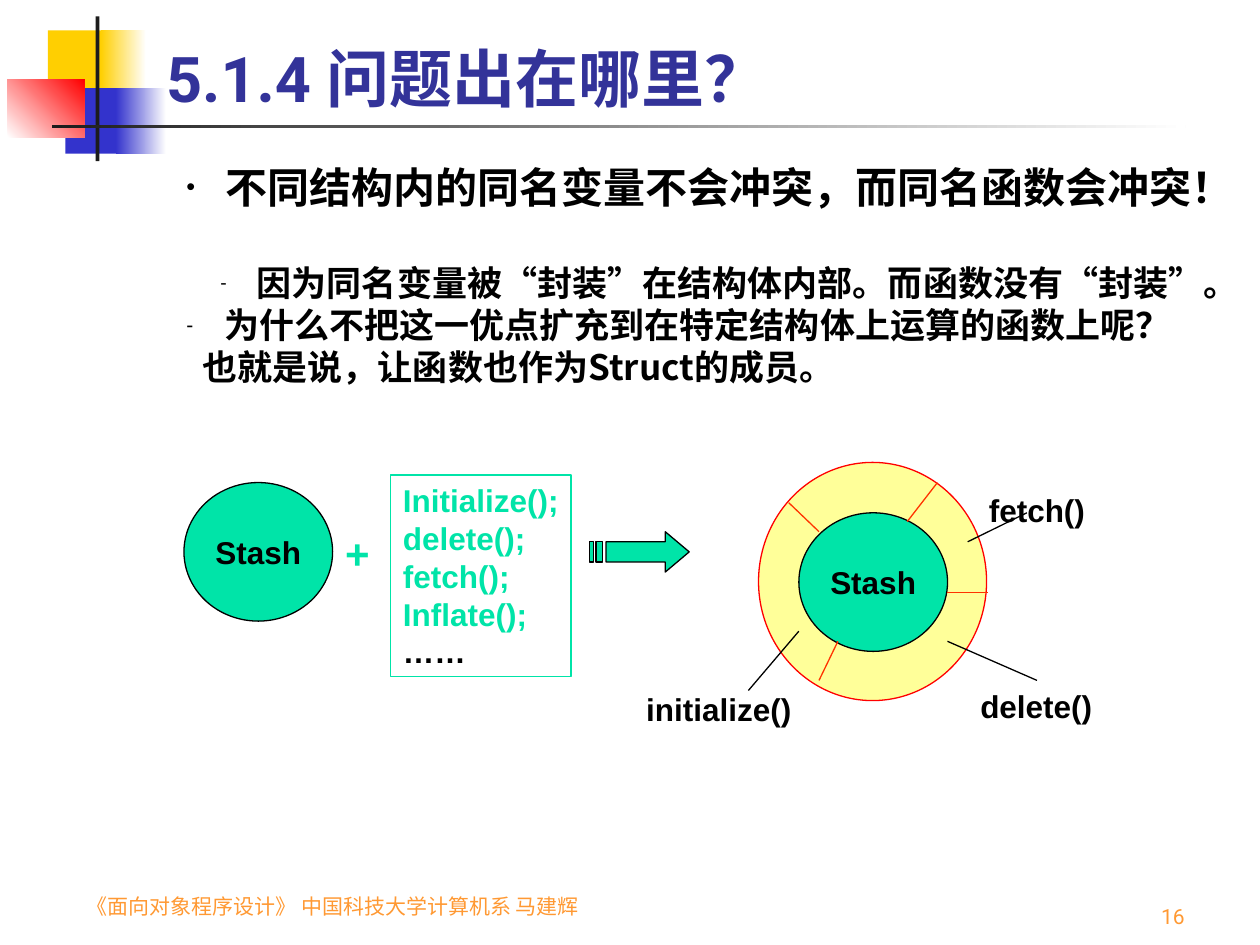
from itertools import groupby

from lxml import etree
from pptx import Presentation
from pptx.dml.color import RGBColor
from pptx.enum.shapes import MSO_CONNECTOR, MSO_SHAPE
from pptx.enum.text import MSO_ANCHOR, PP_ALIGN
from pptx.oxml.ns import qn
from pptx.util import Inches, Pt

RECT, OVAL, DONUT = MSO_SHAPE.RECTANGLE, MSO_SHAPE.OVAL, MSO_SHAPE.DONUT
STRAIGHT = MSO_CONNECTOR.STRAIGHT
TOP, MIDDLE, BOTTOM = MSO_ANCHOR.TOP, MSO_ANCHOR.MIDDLE, MSO_ANCHOR.BOTTOM
LEFT, CENTER, RIGHT = PP_ALIGN.LEFT, PP_ALIGN.CENTER, PP_ALIGN.RIGHT
CJK_FONT = "Noto Sans CJK SC"
BLACK, WHITE, GREEN, RED = "000000", "FFFFFF", "00E4A8", "FF0000"
YELLOW, BLUE, DARK, ORANGE = "FFCF01", "3333CC", "1C1C1C", "FF9933"


def rgb(value):
    """Return the colour for a hex string."""
    return RGBColor.from_string(value)


def paint(sp, fill=None, line=None, width=0.75):
    """Set the fill and outline of a shape and remove its shadow."""
    sp.shadow.inherit = False
    if fill:
        sp.fill.solid()
        sp.fill.fore_color.rgb = rgb(fill)
    else:
        sp.fill.background()
    if line:
        sp.line.color.rgb = rgb(line)
        sp.line.width = Pt(width)
    else:
        sp.line.fill.background()


def add_shape(s, kind, box, **style):
    """Add a preset shape."""
    sp = s.shapes.add_shape(kind, *map(Inches, box))
    paint(sp, **style)
    return sp


def add_gradient(s, box, start, end, angle=0):
    """Add a rectangle with a two-colour gradient."""
    sp = add_shape(s, RECT, box)
    sp.fill.gradient()
    sp.fill.gradient_angle = angle
    for stop, color in zip(sp.fill.gradient_stops, (start, end)):
        stop.color.rgb = rgb(color)


def add_line(s, start, end, color):
    """Add a thin straight line."""
    c = s.shapes.add_connector(STRAIGHT, *map(Inches, start + end))
    c.line.color.rgb = rgb(color)
    c.line.width = Pt(0.75)
    etree.SubElement(c._element.spPr, qn("a:effectLst"))


def add_run(p, text, size=18, font="Arial", color=BLACK, bold=True):
    """Append a formatted run to a paragraph."""
    r = p.add_run()
    r.text = text
    r.font.size, r.font.name, r.font.bold = Pt(size), font, bold
    r.font.color.rgb = rgb(color)
    etree.SubElement(r._r.get_or_add_rPr(), qn("a:ea"), typeface=CJK_FONT)


def set_text(sp, text, align=LEFT, anchor=TOP, wrap=False, **font):
    """Write one paragraph per line of text into a shape."""
    tf = sp.text_frame
    tf.word_wrap, tf.vertical_anchor = wrap, anchor
    for i, line in enumerate(text.split("\n")):
        p = tf.add_paragraph() if i else tf.paragraphs[0]
        p.alignment = align
        add_run(p, line, **font)
    return tf


def add_text(s, box, text, **style):
    """Add a text box."""
    return set_text(s.shapes.add_textbox(*map(Inches, box)), text, **style)


def set_indent(p, margin, first, bullet=None, percent=60):
    """Set the indents of a paragraph and its bullet."""
    pPr = p._p.get_or_add_pPr()
    pPr.set("marL", str(Inches(margin)))
    pPr.set("indent", str(Inches(first - margin)))
    if bullet:
        color = etree.SubElement(pPr, qn("a:buClr"))
        etree.SubElement(color, qn("a:srgbClr"), val=BLACK)
        etree.SubElement(pPr, qn("a:buSzPct"), val=str(percent * 1000))
        etree.SubElement(pPr, qn("a:buFont"), typeface="Arial")
        etree.SubElement(pPr, qn("a:buChar"), char=bullet)


def add_body(s):
    """Add the explanation with its bullets."""
    items = [
        ("不同结构内的同名变量不会冲突，而同名函数会冲突！", 24, 0, (0.31, 0, "•")),
        ("因为同名变量被“封装”在结构体内部。而函数没有“封装”。", 20, 28.8, (0.56, 0.27, "-", 55)),
        ("为什么不把这一优点扩充到在特定结构体上运算的函数上呢？", 20, 0, (0.3, 0, "-")),
        ("也就是说，让函数也作为Struct的成员。", 20, 0, (0.13, 0.13)),
    ]
    tf = s.shapes.add_textbox(*map(Inches, (1.38, 1.23, 8.62, 1.9))).text_frame
    tf.word_wrap = True
    for i, (text, size, before, indent) in enumerate(items):
        p = tf.add_paragraph() if i else tf.paragraphs[0]
        p.line_spacing, p.space_before = Pt(size * 1.2), Pt(before)
        set_indent(p, *indent)
        if i == 1:
            p.level = 1
        for quoted, part in groupby(text, key=lambda ch: ch in "“”"):
            add_run(p, "".join(part), size=size, font="Arial" if quoted else CJK_FONT)


def add_ornament(s):
    """Add the coloured blocks and rules beside the title."""
    add_shape(s, RECT, (0.38, 0.24, 0.48, 0.52), fill=YELLOW)
    add_gradient(s, (0.8, 0.24, 0.36, 0.52), YELLOW, WHITE)
    add_shape(s, RECT, (0.52, 0.7, 0.46, 0.52), fill=BLUE)
    add_gradient(s, (0.92, 0.7, 0.4, 0.52), BLUE, WHITE)
    add_gradient(s, (0.06, 0.63, 0.61, 0.46), WHITE, RED, angle=45)
    add_shape(s, RECT, (0.76, 0.13, 0.03, 1.15), fill=DARK)
    add_gradient(s, (0.41, 0.99, 9, 0.03), DARK, WHITE)


def add_stash(s, x, y):
    """Add a green Stash circle."""
    sp = add_shape(s, OVAL, (x, y, 1.18, 1.1), fill=GREEN, line=BLACK)
    set_text(sp, "Stash", align=CENTER, anchor=MIDDLE)


def add_striped_arrow(s):
    """Add the arrow with two stripes at its tail."""
    top, bottom = 4.3, 4.46
    head = [(5.28, 4.22), (5.28, top), (4.81, top), (4.81, bottom),
            (5.28, bottom), (5.28, 4.54), (5.47, 4.38)]
    stripes = [[(a, top), (a, bottom), (b, bottom), (b, top)]
               for a, b in ((4.73, 4.78), (4.68, 4.71))]
    fb = s.shapes.build_freeform(*map(Inches, head[0]))
    for i, outline in enumerate([head] + stripes):
        points = [(Inches(x), Inches(y)) for x, y in outline]
        if i:
            fb.move_to(*points[0])
        fb.add_line_segments(points[1:], close=True)
    paint(fb.convert_to_shape(), fill=GREEN, line=BLACK)


def add_diagram(s):
    """Add the data plus functions diagram and the resulting ring."""
    add_stash(s, 1.46, 3.83)
    box = add_shape(s, RECT, (3.1, 3.77, 1.43, 1.6), line=GREEN, width=1)
    tf = set_text(box, "Initialize();\ndelete();\nfetch();\nInflate();\n……", color=GREEN)
    tf.paragraphs[-1].runs[0].font.color.rgb = rgb(BLACK)
    add_striped_arrow(s)
    ring = add_shape(s, DONUT, (6.02, 3.67, 1.81, 1.89), fill="FFFF99", line=RED)
    ring.adjustments[0] = 0.25
    add_stash(s, 6.34, 4.07)
    for start, end in [((6.26, 3.99), (6.5, 4.22)), ((7.2, 4.14), (7.44, 3.83)),
                       ((7.52, 4.7), (7.84, 4.7)), ((6.65, 5.09), (6.5, 5.4))]:
        add_line(s, start, end, "FF3300")
    for text, box, start, end in [
        ("initialize()", (5.01, 5.43, 1.39, 0.4), (5.94, 5.48), (6.34, 5.01)),
        ("delete()", (7.66, 5.4, 1.13, 0.4), (8.23, 5.4), (7.52, 5.09)),
        ("fetch()", (7.73, 3.85, 1, 0.4), (7.68, 4.3), (8.15, 4.07)),
    ]:
        add_line(s, start, end, BLACK)
        add_text(s, box, text, align=CENTER)
    add_text(s, (2.64, 4.14, 0.39, 0.5), "+", align=CENTER, size=24, color=GREEN)


def main():
    """Build the slide and save it."""
    prs = Presentation()
    prs.slide_width, prs.slide_height = Inches(10), Inches(7.5)
    s = prs.slides.add_slide(prs.slide_layouts[6])
    add_ornament(s)
    footer = dict(anchor=BOTTOM, wrap=True, size=12, font="Roboto", color=ORANGE, bold=False)
    add_text(s, (0.59, 6.9, 4.49, 0.44), "《面向对象程序设计》 中国科技大学计算机系 马建辉", **footer)
    add_text(s, (7.42, 6.92, 2.08, 0.5), "16", align=RIGHT, **footer)
    add_text(s, (1.22, 0.28, 8.52, 0.68), "5.1.4 问题出在哪里？", anchor=BOTTOM,
             wrap=True, size=36, font="Roboto", color="333399")
    add_diagram(s)
    add_body(s)
    prs.save("out.pptx")


if __name__ == "__main__":
    main()
